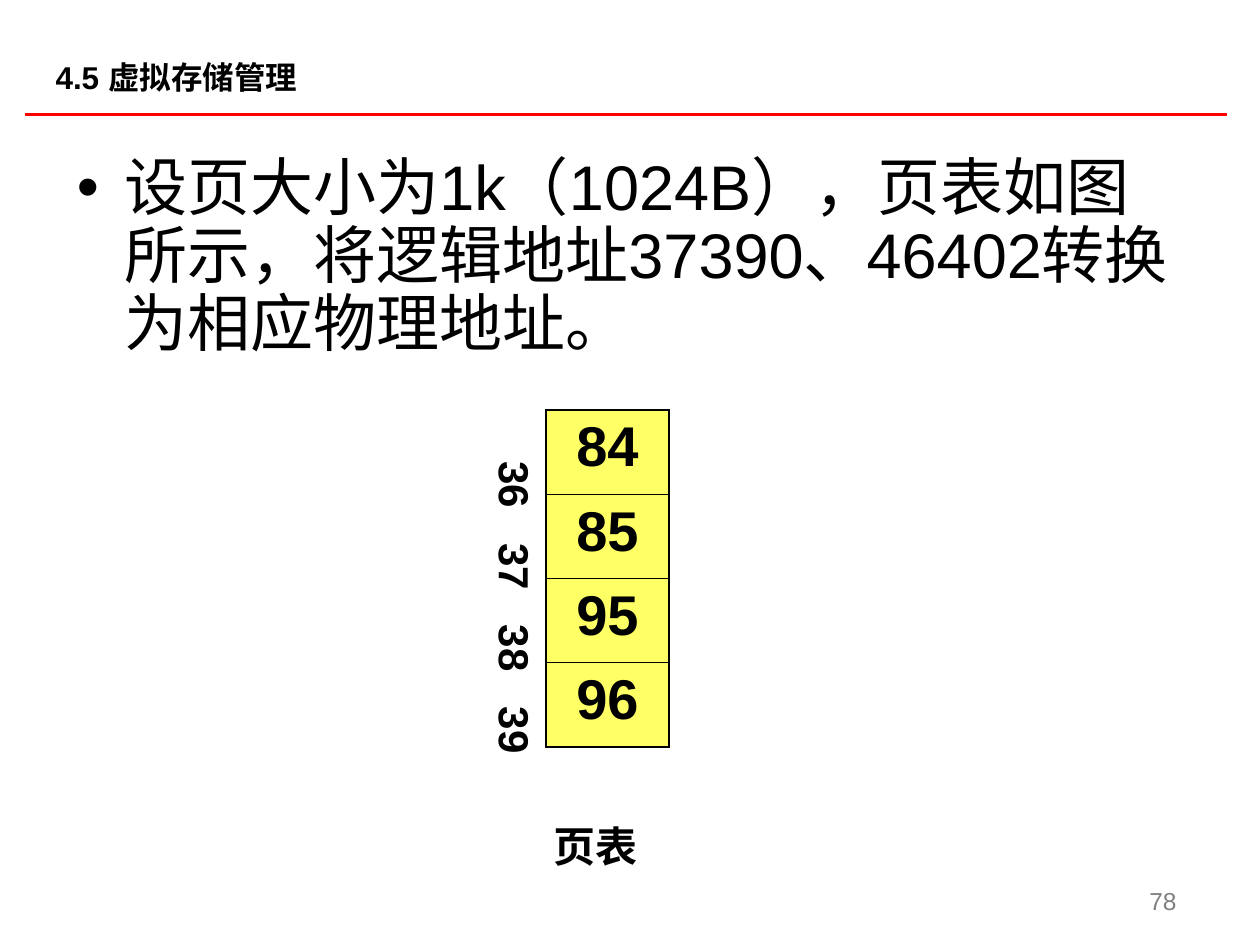
"""Build a slide on virtual memory that shows a page table and an address question."""
from lxml.etree import SubElement
from pptx import Presentation
from pptx.dml.color import RGBColor
from pptx.enum.shapes import MSO_CONNECTOR, MSO_SHAPE
from pptx.enum.text import MSO_ANCHOR, PP_ALIGN
from pptx.oxml import parse_xml
from pptx.oxml.ns import nsdecls, qn
from pptx.util import Cm, Pt

INK = {"black": "000000", "white": "FFFFFF", "red": "FF0000",
       "yellow": "FFFF66", "grey": "808080"}
TITLE = "4.5 虚拟存储管理"
TASK = "设页大小为1k（1024B），页表如图所示，将逻辑地址37390、46402转换为相应物理地址。"
PAGES = ["36", "37", "38", "39"]
FRAMES = ["84", "85", "95", "96"]
CAPTION = "页表"
NUMBER = "78"
LEFT, TOP, WIDTH, ROW = 11, 8.26, 2.49, 1.7
PITCH = 1.65
THIN, THICK = 0.45, 1.08


def color(name):
    return RGBColor.from_string(INK[name])


def write(frame, text, size, bold=False, ink="black",
          align=PP_ALIGN.LEFT, space=None):
    frame.text = text
    frame.word_wrap = True
    para = frame.paragraphs[0]
    para.alignment = align
    para.line_spacing = space
    for run in para.runs:
        font = run.font
        font.name, font.size, font.bold = "Arial", Pt(size), bold
        font.color.rgb = color(ink)
    return para


def add_text(slide, box, text, size, **style):
    frame = slide.shapes.add_textbox(*map(Cm, box)).text_frame
    write(frame, text, size, **style)
    return frame


def add_title(slide):
    bar = slide.shapes.add_shape(MSO_SHAPE.RECTANGLE,
                                 *map(Cm, (0.89, 1.12, 14.68, 0.86)))
    bar.shadow.inherit = False
    bar.fill.solid()
    bar.fill.fore_color.rgb = color("white")
    bar.line.fill.background()
    frame = bar.text_frame
    frame.margin_left = frame.margin_right = Cm(0.23)
    frame.margin_top = frame.margin_bottom = Cm(0.1)
    frame.vertical_anchor = MSO_ANCHOR.MIDDLE
    write(frame, TITLE, 18, bold=True)


def add_rule(slide):
    rule = slide.shapes.add_connector(MSO_CONNECTOR.STRAIGHT,
                                      *map(Cm, (0.51, 2.31, 24.74, 2.31)))
    rule.line.color.rgb = color("red")
    rule.line.width = Pt(1.5)
    SubElement(rule._element.spPr, qn("a:effectLst"))


def add_task(slide):
    frame = add_text(slide, (1.3, 3.02, 22.78, 4.8), TASK, 36, space=0.9)
    props = frame.paragraphs[0]._p.get_or_add_pPr()
    props.set("marL", str(Cm(0.96)))
    props.set("indent", str(Cm(-0.96)))
    SubElement(props, qn("a:buFont")).set("typeface", "Arial")
    SubElement(props, qn("a:buChar")).set("char", "•")


def add_borders(cell, widths):
    props = cell._tc.get_or_add_tcPr()
    for spot, (side, width) in enumerate(widths.items()):
        props.insert(spot, parse_xml(
            f'<a:ln{side} {nsdecls("a")} w="{Pt(width)}"><a:solidFill>'
            f'<a:srgbClr val="{INK["black"]}"/></a:solidFill></a:ln{side}>'))


def add_frames(slide):
    count = len(FRAMES)
    box = map(Cm, (LEFT, TOP, WIDTH, ROW * count))
    table = slide.shapes.add_table(count, 1, *box).table
    table.first_row = table.horz_banding = False
    for row, text in enumerate(FRAMES):
        table.rows[row].height = Cm(ROW)
        cell = table.cell(row, 0)
        cell.fill.solid()
        cell.fill.fore_color.rgb = color("yellow")
        write(cell.text_frame, text, 32, bold=True, align=PP_ALIGN.CENTER)
        add_borders(cell, {"L": THICK, "R": THICK,
                           "T": THIN if row else THICK,
                           "B": THIN if row < count - 1 else THICK})


def add_pages(slide):
    frame = add_text(slide, (9.5, 8.74, 1.42, 7.14), "\t".join(PAGES), 24,
                     bold=True, space=0.9)
    frame._txBody.bodyPr.set("vert", "eaVert")
    frame.margin_left = frame.margin_right = Cm(0.13)
    frame.margin_top, frame.margin_bottom = Cm(0.56), Cm(0.25)
    tabs = SubElement(frame.paragraphs[0]._p.get_or_add_pPr(), qn("a:tabLst"))
    for step in range(1, len(PAGES)):
        stop = SubElement(tabs, qn("a:tab"))
        stop.set("pos", str(Cm(PITCH * step)))
        stop.set("algn", "l")


def main():
    deck = Presentation()
    deck.slide_width, deck.slide_height = Cm(25.4), Cm(19.05)
    slide = deck.slides.add_slide(deck.slide_layouts[6])
    add_task(slide)
    add_frames(slide)
    add_pages(slide)
    add_text(slide, (10.9, 16.54, 3.18, 1.17), CAPTION, 24,
             bold=True, space=0.9)
    foot = add_text(slide, (18.69, 17.3, 5.28, 1.27), NUMBER, 14,
                    ink="grey", align=PP_ALIGN.RIGHT)
    foot.vertical_anchor = MSO_ANCHOR.BOTTOM
    add_rule(slide)
    add_title(slide)
    deck.save("out.pptx")


if __name__ == "__main__":
    main()
